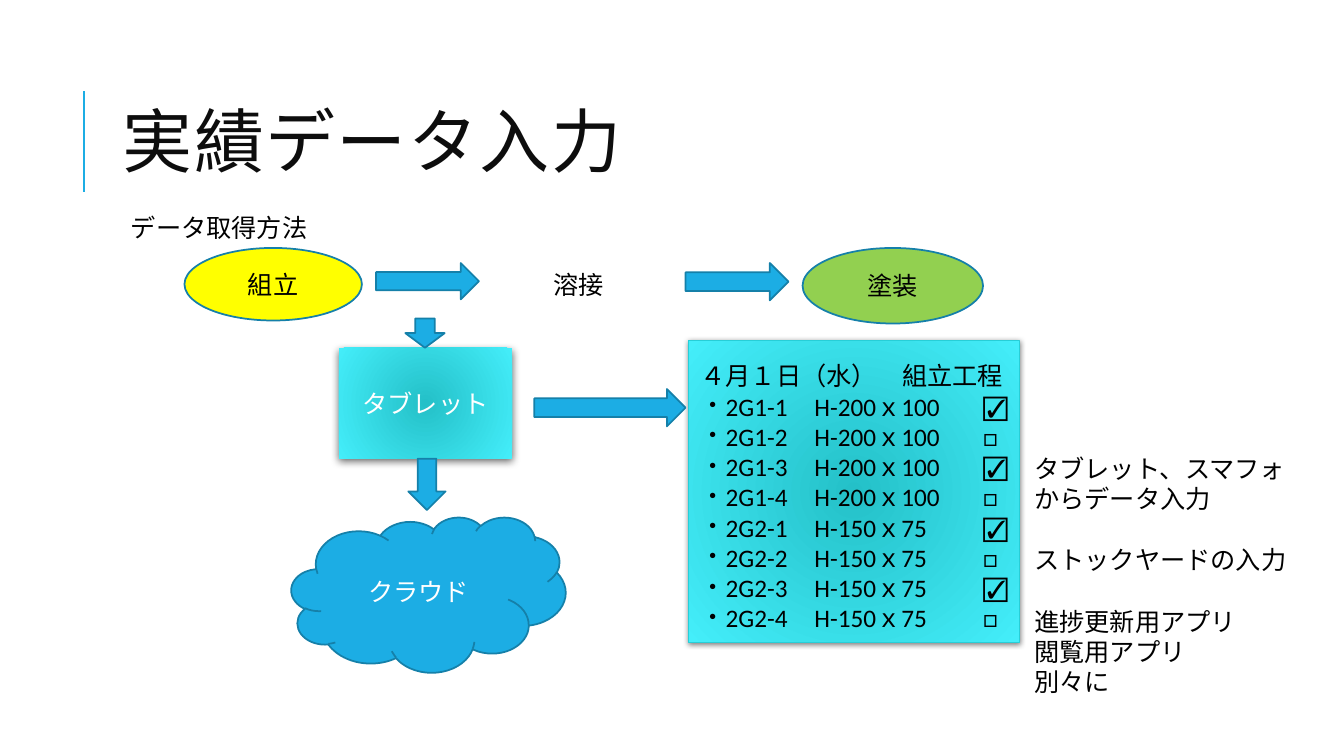
"""Build the slide on entering production results data."""
import pptx
import pptx.dml.color
import pptx.enum.shapes
import pptx.enum.text
import pptx.oxml
import pptx.oxml.ns
import pptx.util
from lxml import etree

PX = 9144
SHAPE = pptx.enum.shapes.MSO_SHAPE
ALIGN = pptx.enum.text.PP_ALIGN
ANCHOR = pptx.enum.text.MSO_ANCHOR
qn = pptx.oxml.ns.qn
BLUE, EDGE, BLACK, WHITE = "1CADE4", "1580A9", "000000", "FFFFFF"


def color(value):
    """Turn a hex string into a colour."""
    return pptx.dml.color.RGBColor.from_string(value)


class SlideBuilder:
    """Holds the text style and the slide, and adds elements in px."""

    def __init__(self, slide, font="Calibri", size=18):
        self.slide = slide
        self.font = font
        self.size = size

    def style(self, paragraph, tint=BLACK, font=None, size=None):
        paragraph.font.name = font or self.font
        paragraph.font.size = pptx.util.Pt(size or self.size)
        paragraph.font.color.rgb = color(tint)

    def line(self, x1, y1, x2, y2, tint, weight):
        rule = self.slide.shapes.add_connector(
            pptx.enum.shapes.MSO_CONNECTOR.STRAIGHT, x1 * PX, y1 * PX, x2 * PX, y2 * PX)
        rule.line.color.rgb = color(tint)
        rule.line.width = pptx.util.Pt(weight)
        etree.SubElement(rule._element.spPr, qn("a:effectLst"))

    def shape(self, kind, box, fill=BLUE, edge=EDGE, weight=1.25, label="", tint=WHITE):
        shape = self.slide.shapes.add_shape(kind, *(v * PX for v in box))
        shape.shadow.inherit = False
        shape.fill.solid()
        shape.fill.fore_color.rgb = color(fill)
        if edge:
            shape.line.color.rgb = color(edge)
            shape.line.width = pptx.util.Pt(weight)
        else:
            shape.line.fill.background()
        if label:
            shape.text_frame.text = label
            shape.text_frame.vertical_anchor = ANCHOR.MIDDLE
            paragraph = shape.text_frame.paragraphs[0]
            paragraph.alignment = ALIGN.CENTER
            self.style(paragraph, tint)
        return shape

    def panel(self, box, alpha, blur, distance, **options):
        panel = self.shape(SHAPE.RECTANGLE, box, **options)
        panel.fill.gradient()
        for stop, tint in zip(panel.fill.gradient_stops, ("24C0C8", "44EEFA")):
            stop.color.rgb = color(tint)
        properties = panel._element.spPr
        gradient = properties.find(qn("a:gradFill"))
        gradient.remove(gradient.find(qn("a:lin")))
        radial = etree.SubElement(gradient, qn("a:path"), path="circle")
        etree.SubElement(radial, qn("a:fillToRect"), l="50000", t="50000", r="50000", b="50000")
        shadow = etree.SubElement(
            properties.find(qn("a:effectLst")), qn("a:outerShdw"), blurRad=str(blur * 12700),
            dist=str(distance * 12700), dir="5400000", rotWithShape="0")
        tone = etree.SubElement(shadow, qn("a:srgbClr"), val=BLACK)
        etree.SubElement(tone, qn("a:alpha"), val=str(alpha * 1000))

    def text(self, box, lines):
        """Add a wrapped text box with one paragraph per line."""
        frame = self.slide.shapes.add_textbox(*(v * PX for v in box)).text_frame
        frame.word_wrap = True
        frame.text = "\n".join(lines)
        for paragraph in frame.paragraphs:
            self.style(paragraph)
        return frame

    def title(self, box, wording):
        frame = self.text(box, [wording])
        frame.vertical_anchor = ANCHOR.MIDDLE
        paragraph = frame.paragraphs[0]
        paragraph.line_spacing = 0.8
        self.style(paragraph, "0D0D0D", "Cabin", 50)
        paragraph._p.pPr.find(qn("a:defRPr")).set("spc", "100")

    def checklist(self, box, heading, rows, hang, stops):
        """Add a heading and bulleted rows whose columns sit on tab stops."""
        frame = self.text(box, [heading])
        for row in rows:
            paragraph = frame.add_paragraph()
            paragraph.text = "\t".join(row)
            properties = paragraph._p.get_or_add_pPr()
            properties.set("marL", str(hang * PX))
            properties.set("indent", str(-hang * PX))
            etree.SubElement(properties, qn("a:buFont"), typeface=self.font)
            etree.SubElement(properties, qn("a:buChar"), char="・")
            tabs = etree.SubElement(properties, qn("a:tabLst"))
            for stop in stops:
                etree.SubElement(tabs, qn("a:tab"), pos=str(stop * PX), algn="l")
            self.style(paragraph)


def main():
    deck = pptx.Presentation()
    deck.slide_width, deck.slide_height = 1333 * PX, 750 * PX
    page = SlideBuilder(deck.slides.add_slide(deck.slide_layouts[6]))

    page.line(83, 190, 83, 90, BLUE, 1.5)
    page.title((112, 64, 1063, 164), "実績データ入力")
    page.text((120, 206, 252, 40), ["データ取得方法"])

    page.shape(SHAPE.OVAL, (183, 246, 176, 72), "FFFF00", label="組立", tint=BLACK)
    page.text((539, 262, 83, 40), ["溶接"])
    page.shape(SHAPE.OVAL, (796, 246, 179, 75), "92D050", label="塗装", tint=BLACK)

    page.panel((336, 345, 172, 110), 60, 6, 2, edge=None, label="タブレット")
    page.shape(SHAPE.CLOUD, (289, 513, 272, 154), label="クラウド")
    page.panel((683, 338, 328, 299), 50, 4, 1, edge="27CED7", weight=0.75)

    for box in ((373, 261, 102, 36), (680, 261, 102, 37), (530, 386, 150, 37)):
        page.shape(SHAPE.RIGHT_ARROW, box)
    for box in ((402, 316, 39, 29), (405, 455, 37, 51)):
        page.shape(SHAPE.DOWN_ARROW, box)

    sections = (("2G1", "H-200ｘ100"), ("2G2", "H-150ｘ75"))
    rows = [(f"{lot}-{number}", size, "☑" if number % 2 else "□")
            for lot, size in sections for number in range(1, 5)]
    page.checklist((685, 353, 340, 284), "４月１日（水）　組立工程", rows, 14, (113, 280))

    notes = page.text((1016, 445, 279, 252), [
        "タブレット、スマフォからデータ入力", "ストックヤードの入力",
        "進捗更新用アプリ", "閲覧用アプリ", "別々に"])
    for paragraph in notes.paragraphs[1:3]:
        paragraph.space_before = pptx.util.Pt(22)

    deck.save("out.pptx")


if __name__ == "__main__":
    main()
